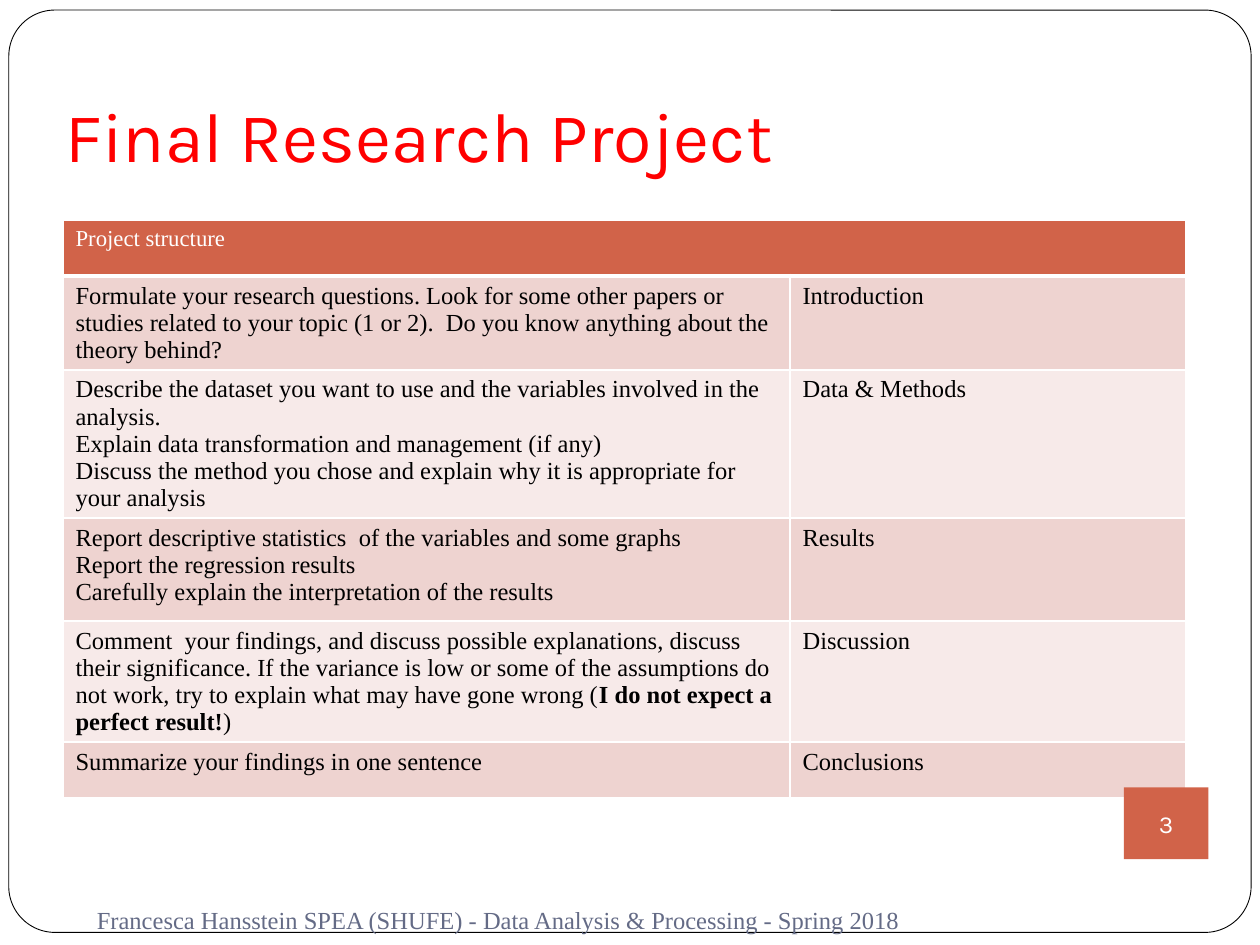
from lxml import etree
from pptx import Presentation
from pptx.dml.color import RGBColor
from pptx.enum import shapes, text
from pptx.oxml.ns import qn
from pptx.util import Inches, Pt

THEME = {
    "title_font": "Karla", "body_font": "Times New Roman",
    "title_size": 40, "header_size": 13, "body_size": 14,
    "title": "FF0000", "accent": "D16349", "white": "FFFFFF", "ink": "000000",
    "footer": "646B86", "bands": ("EED3D0", "F7EAE9"),
}

TITLE = "Final Research Project"
HEADER = "Project structure"
# Each task is a list of paragraphs; each paragraph is a list of (text, bold) runs.
SECTIONS = [
    ("Introduction", [
        [("Formulate your research questions. Look for some other papers or studies related "
          "to your topic (1 or 2).  Do you know anything about the theory behind?", False)]]),
    ("Data & Methods", [
        [("Describe the dataset you want to use and the variables involved in the analysis.", False)],
        [("Explain data transformation and management (if any)", False)],
        [("Discuss the method you chose and explain why it is appropriate for your analysis", False)]]),
    ("Results", [
        [("Report descriptive statistics  of the variables and some graphs", False)],
        [("Report the regression results", False)],
        [("Carefully explain the interpretation of the results", False)]]),
    ("Discussion", [
        [("Comment  your findings, and discuss possible explanations, discuss their significance. "
          "If the variance is low or some of the assumptions do not work, try to explain what may "
          "have gone wrong (", False), ("I do not expect a perfect result!", True), (")", False)]]),
    ("Conclusions", [[("Summarize your findings in one sentence", False)]]),
]
PAGE_NUMBER = "3"
FOOTER = "Francesca Hansstein SPEA (SHUFE) - Data Analysis & Processing - Spring 2018"

COLUMN_WIDTHS = (5.77, 3.14)
ROW_HEIGHTS = (0.44, 0.58, 0.82, 0.82, 0.82, 0.44)


def color(name):
    return RGBColor.from_string(THEME.get(name, name))


def place(shape, left, top, width, height):
    shape.left, shape.top = Inches(left), Inches(top)
    shape.width, shape.height = Inches(width), Inches(height)


def format_text(frame, font, size, ink):
    for paragraph in frame.paragraphs:
        for run in paragraph.runs:
            run.font.name = THEME[font]
            run.font.size = Pt(THEME[size])
            run.font.color.rgb = color(ink)


def set_margins(frame, left, top, right, bottom):
    frame.margin_left, frame.margin_top = Inches(left), Inches(top)
    frame.margin_right, frame.margin_bottom = Inches(right), Inches(bottom)


def add_block(slide, kind, box, fill):
    shape = slide.shapes.add_shape(kind, *map(Inches, box))
    shape.shadow.inherit = False
    shape.fill.solid()
    shape.fill.fore_color.rgb = color(fill)
    shape.line.fill.background()
    return shape


def style_cell(cell, fill, bottom=1):
    """Give the cell white borders in points, then its fill."""
    properties = cell._tc.get_or_add_tcPr()
    for side, width in (("L", 1), ("R", 1), ("T", 1), ("B", bottom)):
        line = etree.SubElement(properties, qn(f"a:ln{side}"), w=str(Pt(width)))
        solid = etree.SubElement(line, qn("a:solidFill"))
        etree.SubElement(solid, qn("a:srgbClr"), val=THEME["white"])
    cell.fill.solid()
    cell.fill.fore_color.rgb = color(fill)


def fill_task(frame, paragraphs):
    for index, runs in enumerate(paragraphs):
        paragraph = frame.add_paragraph() if index else frame.paragraphs[0]
        for words, bold in runs:
            run = paragraph.add_run()
            run.text = words
            run.font.bold = bold


def add_structure_table(slide):
    table = slide.shapes.add_table(
        len(ROW_HEIGHTS), len(COLUMN_WIDTHS), Inches(0.5), Inches(1.75),
        Inches(sum(COLUMN_WIDTHS)), Inches(sum(ROW_HEIGHTS))).table
    for column, width in zip(table.columns, COLUMN_WIDTHS):
        column.width = Inches(width)
    for row, height in zip(table.rows, ROW_HEIGHTS):
        row.height = Inches(height)

    header = table.cell(0, 0)
    header.merge(table.cell(0, 1))
    header.text_frame.text = HEADER
    header.text_frame.paragraphs[0].runs[0].font.bold = False
    format_text(header.text_frame, "body_font", "header_size", "white")
    for cell in table.rows[0].cells:
        style_cell(cell, "accent", bottom=3)

    for index, (section, task) in enumerate(SECTIONS):
        task_cell, section_cell = table.rows[index + 1].cells
        fill_task(task_cell.text_frame, task)
        section_cell.text_frame.text = section
        for cell in (task_cell, section_cell):
            format_text(cell.text_frame, "body_font", "body_size", "ink")
            style_cell(cell, THEME["bands"][index % 2])


def main():
    presentation = Presentation()
    presentation.slide_width, presentation.slide_height = Inches(10), Inches(7.5)
    slide = presentation.slides.add_slide(presentation.slide_layouts[5])

    frame = add_block(slide, shapes.MSO_SHAPE.ROUNDED_RECTANGLE, (0.07, 0.08, 9.86, 7.32), "white")
    frame.adjustments[0] = 0.05
    frame.line.color.rgb = color("ink")
    frame.line.width = Pt(0.5)
    slide.shapes._spTree.insert(2, frame._element)  # behind the title

    title = slide.shapes.title
    place(title, 0.42, 0.25, 8.5, 1.25)
    title.text_frame.text = TITLE
    title.text_frame.vertical_anchor = text.MSO_ANCHOR.BOTTOM
    title.text_frame.paragraphs[0].alignment = text.PP_ALIGN.LEFT
    set_margins(title.text_frame, 0.1, 0.05, 0.1, 0.1)
    format_text(title.text_frame, "title_font", "title_size", "title")

    add_structure_table(slide)

    badge = add_block(slide, shapes.MSO_SHAPE.RECTANGLE, (8.92, 6.25, 0.67, 0.57), "accent")
    badge.text_frame.text = PAGE_NUMBER
    badge.text_frame.word_wrap = False
    badge.text_frame.vertical_anchor = text.MSO_ANCHOR.MIDDLE
    badge.text_frame.paragraphs[0].alignment = text.PP_ALIGN.CENTER
    set_margins(badge.text_frame, 0, 0, 0, 0)
    format_text(badge.text_frame, "title_font", "body_size", "white")

    footer = slide.shapes.add_textbox(*map(Inches, (0.67, 7.1, 8.25, 0.4)))
    footer.text_frame.text = FOOTER
    footer.text_frame.word_wrap = True
    footer.text_frame.vertical_anchor = text.MSO_ANCHOR.MIDDLE
    format_text(footer.text_frame, "body_font", "body_size", "footer")

    presentation.save("out.pptx")


if __name__ == "__main__":
    main()
